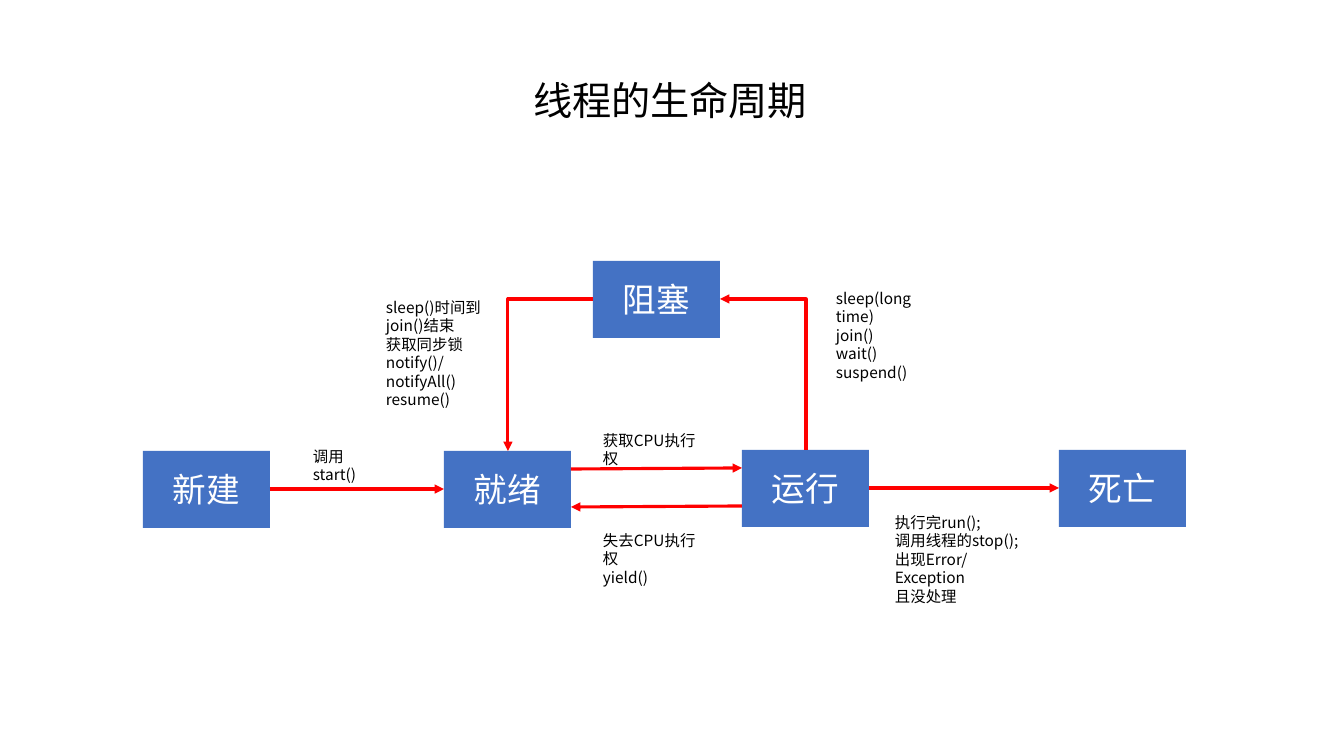
from lxml import etree
from pptx import Presentation
from pptx import util as u
from pptx.dml.color import RGBColor
from pptx.enum import shapes, text
from pptx.oxml.ns import qn

FONT = "Noto Sans CJK SC"
COLORS = {"state": "4472C4", "arrow": "FF0000", "ink": "000000", "light": "FFFFFF"}
STATE_W, STATE_H = 127, 77
STATES = {  # name: (left, top)
    "新建": (143, 451),
    "就绪": (444, 451),
    "运行": (742, 450),
    "死亡": (1059, 450),
    "阻塞": (593, 261),
}
LABELS = [  # (left, top, width, height), lines
    ((303, 442, 90, 29), ["调用start()"]),
    ((593, 426, 127, 29), ["获取CPU执行权"]),
    ((593, 526, 127, 47), ["失去CPU执行权", "yield()"]),
    ((885, 508, 154, 85),
     ["执行完run();", "调用线程的stop();", "出现Error/Exception", "且没处理"]),
    ((826, 284, 129, 85), ["sleep(long time)", "join()", "wait()", "suspend() "]),
    ((376, 293, 137, 104),
     ["sleep()时间到", "join()结束", "获取同步锁", "notify()/notifyAll()", "resume()"]),
]


def px(length):
    """Turn pixels into EMU."""
    return u.Emu(round(length * 914400 / 100.8))


def color(name):
    """Look up a named colour."""
    return RGBColor.from_string(COLORS[name])


def write(frame, lines, size, ink, align, anchor):
    """Fill a text frame with one paragraph per line."""
    frame.text = "\n".join(lines)
    frame.vertical_anchor = anchor
    for paragraph in frame.paragraphs:
        paragraph.alignment = align
        paragraph.font.size = u.Pt(size)
        paragraph.font.color.rgb = color(ink)
        paragraph.font.name = FONT
        defaults = paragraph._p.pPr.find(qn("a:defRPr"))
        etree.SubElement(defaults, qn("a:ea"), typeface=FONT)


def add_title(slide, heading):
    """Place the slide title."""
    title = slide.shapes.title
    title.left, title.top, title.width, title.height = map(px, (523, 71, 297, 57))
    write(title.text_frame, [heading], 28, "ink",
          text.PP_ALIGN.LEFT, text.MSO_ANCHOR.TOP)
    title.text_frame.word_wrap = False
    title.text_frame.auto_size = text.MSO_AUTO_SIZE.SHAPE_TO_FIT_TEXT


def add_state(slide, name, left, top):
    """Draw one thread state."""
    state = slide.shapes.add_shape(
        shapes.MSO_SHAPE.RECTANGLE, *map(px, (left, top, STATE_W, STATE_H)))
    state.shadow.inherit = False
    state.fill.solid()
    state.fill.fore_color.rgb = color("state")
    state.line.fill.background()
    write(state.text_frame, [name], 24, "light",
          text.PP_ALIGN.CENTER, text.MSO_ANCHOR.MIDDLE)


def add_label(slide, box, lines):
    """Write the calls that cause a transition."""
    label = slide.shapes.add_textbox(*map(px, box))
    write(label.text_frame, lines, 11, "ink",
          text.PP_ALIGN.LEFT, text.MSO_ANCHOR.TOP)
    label.text_frame.word_wrap = True
    label.text_frame.auto_size = text.MSO_AUTO_SIZE.SHAPE_TO_FIT_TEXT


def add_transition(slide, start, end, kind=shapes.MSO_CONNECTOR.STRAIGHT):
    """Draw a red arrow between two points."""
    arrow = slide.shapes.add_connector(kind, *map(px, start + end))
    arrow.line.color.rgb = color("arrow")
    arrow.line.width = u.Pt(2.25)
    etree.SubElement(arrow.line._get_or_add_ln(), qn("a:tailEnd"), type="triangle")
    etree.SubElement(arrow._element.spPr, qn("a:effectLst"))
    return arrow


def add_corner(slide, start, end, upward_first=False):
    """Draw an arrow with one right-angle turn, sideways first by default."""
    arrow = add_transition(slide, start, end, shapes.MSO_CONNECTOR.ELBOW)
    properties = arrow._element.spPr
    properties.find(qn("a:prstGeom")).set("prst", "bentConnector2")
    if upward_first:
        across, rise = arrow.width, arrow.height
        arrow.left += (across - rise) // 2
        arrow.top += (rise - across) // 2
        arrow.width, arrow.height = rise, across
        arrow.rotation = 270
        frame = properties.find(qn("a:xfrm"))
        frame.set("flipH", "0")
        frame.set("flipV", "1")


def spot(name, across, down):
    """Find a point on a state, by fractions of its width and height."""
    left, top = STATES[name]
    return left + round(across * STATE_W), top + round(down * STATE_H)


def main():
    """Build the thread life cycle slide."""
    deck = Presentation()
    deck.slide_width, deck.slide_height = px(1344), px(756)
    slide = deck.slides.add_slide(deck.slide_layouts[5])
    add_title(slide, "线程的生命周期")
    for name, (left, top) in STATES.items():
        add_state(slide, name, left, top)

    add_transition(slide, spot("新建", 1, 0.5), spot("就绪", 0, 0.5))
    add_transition(slide, spot("就绪", 1, 0.23), spot("运行", 0, 0.23))
    add_transition(slide, spot("运行", 0, 0.73), spot("就绪", 1, 0.73))
    add_transition(slide, spot("运行", 1, 0.5), spot("死亡", 0, 0.5))
    add_corner(slide, spot("运行", 0.5, 0), spot("阻塞", 1, 0.5), upward_first=True)
    add_corner(slide, spot("阻塞", 0, 0.5), spot("就绪", 0.5, 0))

    for box, lines in LABELS:
        add_label(slide, box, lines)
    deck.save("out.pptx")


main()
